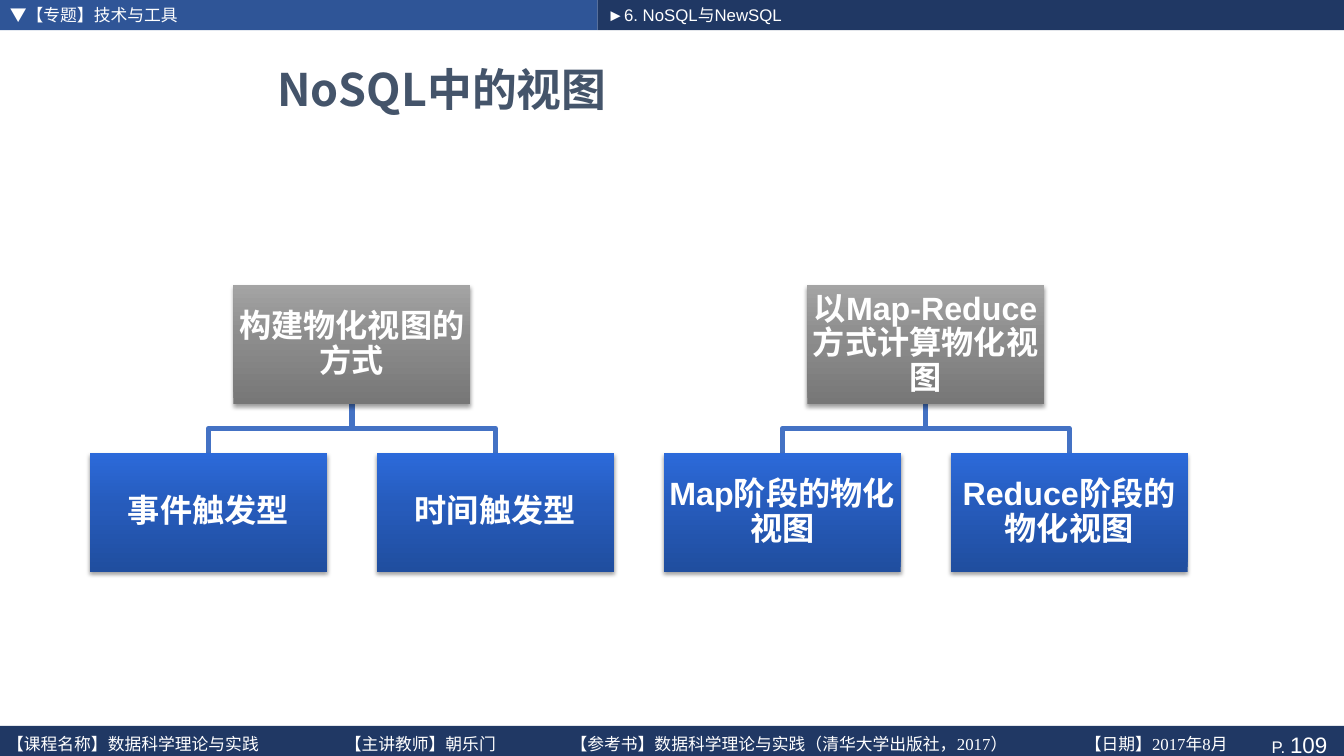
"""Build a slide with two trees about materialized views in NoSQL."""
from lxml import etree
from pptx import Presentation
from pptx.dml.color import RGBColor
from pptx.enum.shapes import MSO_SHAPE
from pptx.enum.text import MSO_ANCHOR, PP_ALIGN
from pptx.oxml import parse_xml
from pptx.oxml.ns import nsdecls, qn
from pptx.util import Cm, Pt

RECTANGLE = MSO_SHAPE.RECTANGLE
MIDDLE, TOP = MSO_ANCHOR.MIDDLE, MSO_ANCHOR.TOP
LEFT, CENTER, RIGHT = PP_ALIGN.LEFT, PP_ALIGN.CENTER, PP_ALIGN.RIGHT

TITLE = "NoSQL中的视图"
TOPIC = "▼【专题】技术与工具"
SECTION = "►6. NoSQL与NewSQL"
PAGE_LABEL = ["P. ", "109"]
FOOTER_ITEMS = [
    ("【课程名称】数据科学理论与实践", 0.18, 8),
    ("【主讲教师】朝乐门", 8.69, 5),
    ("【参考书】数据科学理论与实践（清华大学出版社，2017）", 14.38, 12.5),
    ("【日期】2017年8月", 27.34, 4.5),
]
TREES = [
    ("构建物化视图的方式", ["事件触发型", "时间触发型"]),
    ("以Map-Reduce方式计算物化视图", ["Map阶段的物化视图", "Reduce阶段的物化视图"]),
]

COLORS = {
    "topic": "2F5597", "navy": "203864", "title": "44546A",
    "white": "FFFFFF", "branch": "4472C4", "shadow": "000000",
}
ROOT_GRADIENT = [(0, "777777"), (55, "8C8C8C"), (100, "A4A4A4")]
LEAF_GRADIENT = [(0, "204E9F"), (55, "265BBB"), (100, "2C6ADA")]
CHINESE_FONT = "Noto Sans CJK SC"

SLIDE_WIDTH, SLIDE_HEIGHT = 33.87, 19.05
HEADER_HEIGHT, TOPIC_WIDTH = 0.76, 15.06
FOOTER_TOP, FOOTER_HEIGHT = 18.29, 0.94
NODE_WIDTH, NODE_HEIGHT = 5.97, 3
LEAF_LEFT, LEAF_STEP = 2.27, 7.23
ROOT_TOP, LEAF_TOP = 7.18, 11.41


def color(name):
    return RGBColor.from_string(COLORS[name])


def write(shape, text, size, font="Arial", ink="white", bold=False,
          align=LEFT, anchor=MIDDLE, side=0.25, spacing=None):
    frame = shape.text_frame
    frame.text = text
    frame.word_wrap = True
    frame.vertical_anchor = anchor
    frame.margin_left = frame.margin_right = Cm(side)
    frame.margin_top = frame.margin_bottom = 0
    paragraph = frame.paragraphs[0]
    paragraph.alignment = align
    paragraph.line_spacing = spacing
    for run in paragraph.runs:
        format_run(run, size, font, ink, bold)
    return paragraph


def format_run(run, size, font="Arial", ink="white", bold=False):
    run.font.size = Pt(size)
    run.font.name = font
    run.font.bold = bold
    run.font.color.rgb = color(ink)
    latin = run.font._element.find(qn("a:latin"))
    east_asian = etree.Element(qn("a:ea"), typeface=CHINESE_FONT)
    latin.addnext(east_asian)


def add_box(slide, left, top, width, height):
    shape = slide.shapes.add_shape(RECTANGLE, Cm(left), Cm(top), Cm(width), Cm(height))
    shape.shadow.inherit = False
    shape.line.fill.background()
    return shape


def add_bar(slide, left, top, width, height, fill):
    bar = add_box(slide, left, top, width, height)
    bar.fill.solid()
    bar.fill.fore_color.rgb = color(fill)
    return bar


def add_text(slide, left, top, width, height):
    return slide.shapes.add_textbox(Cm(left), Cm(top), Cm(width), Cm(height))


def add_node(slide, text, left, top, gradient):
    node = add_box(slide, left, top, NODE_WIDTH, NODE_HEIGHT)
    stops = "".join(
        f'<a:gs pos="{position * 1000}"><a:srgbClr val="{value}"/></a:gs>'
        for position, value in gradient
    )
    properties = node._element.spPr
    properties.find(qn("a:prstGeom")).addnext(parse_xml(
        f'<a:gradFill {nsdecls("a")} rotWithShape="1"><a:gsLst>{stops}</a:gsLst>'
        '<a:lin ang="16200000" scaled="0"/></a:gradFill>'
    ))
    properties.find(qn("a:effectLst")).append(parse_xml(
        f'<a:outerShdw {nsdecls("a")} blurRad="{Pt(3.1)}" dist="{Pt(2)}" dir="5400000" '
        f'rotWithShape="0"><a:srgbClr val="{COLORS["shadow"]}">'
        '<a:alpha val="38000"/></a:srgbClr></a:outerShdw>'
    ))
    write(node, text, 23, bold=True, align=CENTER, side=0.05, spacing=0.9)


def add_branch(slide, root_left, leaf_left):
    start, end = root_left + NODE_WIDTH / 2, leaf_left + NODE_WIDTH / 2
    top = ROOT_TOP + NODE_HEIGHT
    bend = (top + LEAF_TOP) / 2
    builder = slide.shapes.build_freeform(Cm(start), Cm(top))
    corners = [(start, bend), (end, bend), (end, LEAF_TOP)]
    builder.add_line_segments([(Cm(x), Cm(y)) for x, y in corners], close=False)
    branch = builder.convert_to_shape()
    branch.shadow.inherit = False
    branch.fill.background()
    branch.line.color.rgb = color("branch")
    branch.line.width = Pt(3.78)


def add_tree(slide, index, root, leaves):
    first = LEAF_LEFT + index * len(leaves) * LEAF_STEP
    leaf_lefts = [first + number * LEAF_STEP for number in range(len(leaves))]
    root_left = sum(leaf_lefts) / len(leaf_lefts)
    for leaf_left in leaf_lefts:
        add_branch(slide, root_left, leaf_left)
    add_node(slide, root, root_left, ROOT_TOP, ROOT_GRADIENT)
    for leaf, leaf_left in zip(leaves, leaf_lefts):
        add_node(slide, leaf, leaf_left, LEAF_TOP, LEAF_GRADIENT)


def main():
    presentation = Presentation()
    presentation.slide_width = Cm(SLIDE_WIDTH)
    presentation.slide_height = Cm(SLIDE_HEIGHT)
    slide = presentation.slides.add_slide(presentation.slide_layouts[6])

    topic = add_bar(slide, 0, 0, TOPIC_WIDTH, HEADER_HEIGHT, "topic")
    write(topic, TOPIC, 12)
    section = add_bar(slide, TOPIC_WIDTH, 0, SLIDE_WIDTH - TOPIC_WIDTH, HEADER_HEIGHT, "navy")
    write(section, SECTION, 12)

    footer = add_bar(slide, 0, FOOTER_TOP, SLIDE_WIDTH, FOOTER_HEIGHT, "navy")
    label, number = PAGE_LABEL
    paragraph = write(footer, label, 12, align=RIGHT, side=0.42)
    page_run = paragraph.add_run()
    page_run.text = number
    format_run(page_run, 16)
    for text, left, width in FOOTER_ITEMS:
        item = add_text(slide, left, 18.5, width, 0.6)
        write(item, text, 12, font="Times New Roman", anchor=TOP, side=0)

    title = add_text(slide, 1.12, 1.09, 20.04, 2.29)
    write(title, TITLE, 32, font=CHINESE_FONT, ink="title", bold=True, align=CENTER)

    for index, (root, leaves) in enumerate(TREES):
        add_tree(slide, index, root, leaves)

    presentation.save("out.pptx")


if __name__ == "__main__":
    main()
